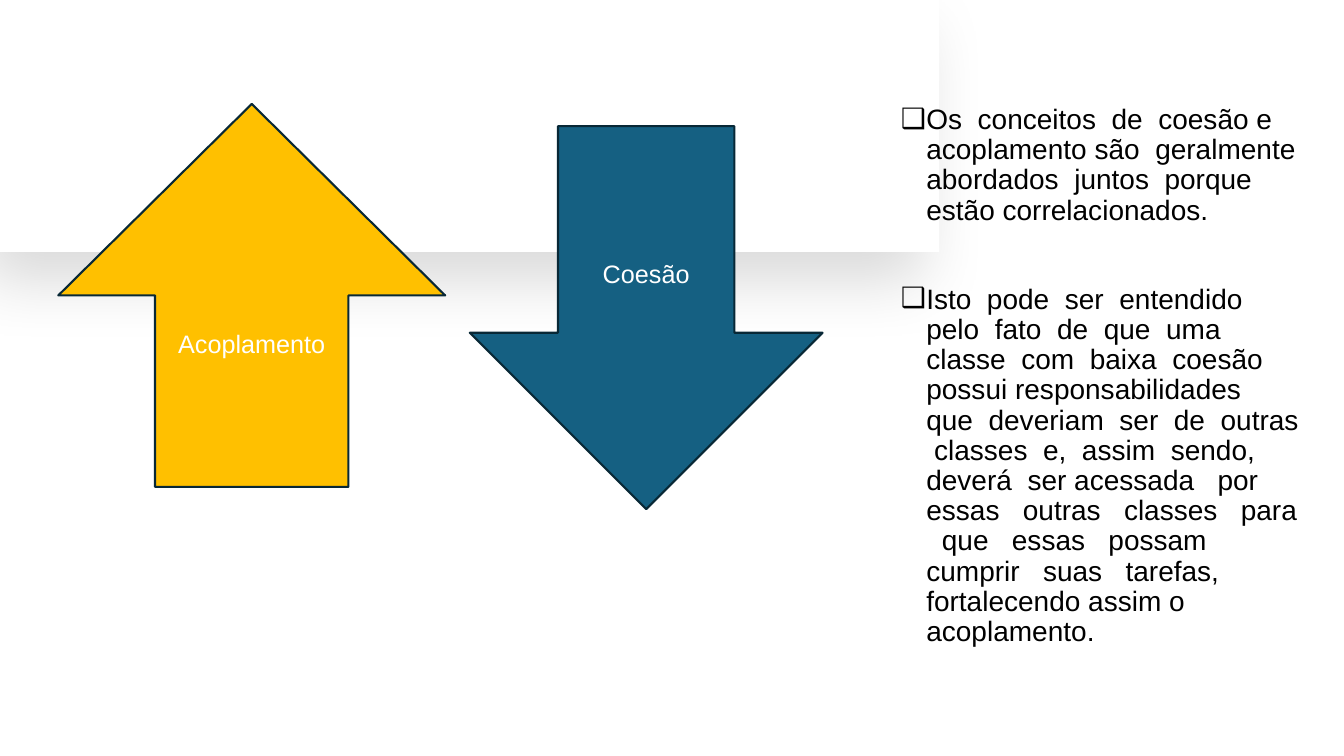
from lxml import etree
from pptx import Presentation
from pptx.dml.color import RGBColor
from pptx.enum.shapes import MSO_SHAPE
from pptx.enum.text import MSO_ANCHOR, MSO_AUTO_SIZE, PP_ALIGN
from pptx.oxml import parse_xml
from pptx.oxml.ns import nsdecls, qn
from pptx.util import Cm, Pt

RECTANGLE, UP_ARROW, DOWN_ARROW = MSO_SHAPE.RECTANGLE, MSO_SHAPE.UP_ARROW, MSO_SHAPE.DOWN_ARROW
MIDDLE = MSO_ANCHOR.MIDDLE
CENTER, LEFT = PP_ALIGN.CENTER, PP_ALIGN.LEFT
NO_AUTOFIT = MSO_AUTO_SIZE.NONE
TITLE_AND_CONTENT = 1
FONT = "Arial"
COLORS = {
    "white": "FFFFFF",
    "black": "000000",
    "amber": "FFC000",
    "blue": "156082",
    "outline": "082836",
}
CONCEPTS = [
    "Os  conceitos  de  coesão e  acoplamento são  geralmente abordados  juntos  porque  "
    "estão correlacionados.",
    "Isto  pode  ser  entendido  pelo  fato  de  que  uma  classe  com  baixa  coesão  "
    "possui responsabilidades  que  deveriam  ser  de  outras  classes  e,  assim  sendo,  "
    "deverá  ser acessada   por   essas   outras   classes   para   que   essas   possam   "
    "cumprir   suas   tarefas, fortalecendo assim o acoplamento.",
]


def color(name):
    return RGBColor.from_string(COLORS[name])


def add_text(paragraph, text, size, color_name):
    run = paragraph.add_run()
    run.text = text
    run.font.name = FONT
    run.font.size = Pt(size)
    run.font.color.rgb = color(color_name)


def add_header_band(slide, left, top, width, height):
    """White band that shows only through the soft shadow under it."""
    band = slide.shapes.add_shape(RECTANGLE, left, top, width, height)
    band.fill.solid()
    band.fill.fore_color.rgb = color("white")
    band.line.fill.background()
    band._element.spPr.append(parse_xml(
        f'<a:effectLst {nsdecls("a")}>'
        f'<a:outerShdw blurRad="{Pt(47)}" dist="{Pt(24)}" dir="{119 * 60000}" '
        'algn="t" rotWithShape="0">'
        f'<a:srgbClr val="{COLORS["black"]}"><a:alpha val="15000"/></a:srgbClr>'
        '</a:outerShdw></a:effectLst>'))


def add_arrow(slide, preset, label, fill, left, top, width, height):
    arrow = slide.shapes.add_shape(preset, left, top, width, height)
    arrow.shadow.inherit = False
    arrow.fill.solid()
    arrow.fill.fore_color.rgb = color(fill)
    arrow.line.color.rgb = color("outline")
    arrow.line.width = Pt(1.5)
    arrow.text_frame.vertical_anchor = MIDDLE
    paragraph = arrow.text_frame.paragraphs[0]
    paragraph.alignment = CENTER
    add_text(paragraph, label, 18, "white")


def add_bullet(paragraph):
    properties = paragraph._p.get_or_add_pPr()
    properties.set("marL", str(Cm(0.64)))
    properties.set("indent", str(-Cm(0.64)))
    bullet_color = etree.SubElement(properties, qn("a:buClr"))
    etree.SubElement(bullet_color, qn("a:srgbClr"), val=COLORS["black"])
    etree.SubElement(properties, qn("a:buFont"), typeface=FONT)
    etree.SubElement(properties, qn("a:buChar"), char="❑")


def fill_concepts(body, left, top, width, height):
    body.left, body.top, body.width, body.height = left, top, width, height
    frame = body.text_frame
    frame.word_wrap = True
    frame.auto_size = NO_AUTOFIT
    frame.vertical_anchor = MIDDLE
    for index, concept in enumerate(CONCEPTS):
        paragraph = frame.add_paragraph() if index else frame.paragraphs[0]
        add_bullet(paragraph)
        paragraph.alignment = LEFT
        paragraph.line_spacing = 0.9
        paragraph.space_before = Pt(42 if index else 0)
        add_text(paragraph, concept, 20, "black")


def build_coupling_slide(presentation):
    slide = presentation.slides.add_slide(presentation.slide_layouts[TITLE_AND_CONTENT])
    title = slide.shapes.title._element
    title.getparent().remove(title)
    body = slide.placeholders[1]
    add_header_band(slide, Cm(0), Cm(0), Cm(23.67), Cm(6.35))
    # The body text stands in front of the band.
    slide.shapes._spTree.append(body._element)
    fill_concepts(body, Cm(22.45), Cm(0.66), Cm(10.62), Cm(17.65))
    add_arrow(slide, UP_ARROW, "Acoplamento", "amber", Cm(1.47), Cm(2.62), Cm(9.75), Cm(9.65))
    add_arrow(slide, DOWN_ARROW, "Coesão", "blue", Cm(11.84), Cm(3.18), Cm(8.89), Cm(9.65))


def main():
    presentation = Presentation()
    presentation.slide_width, presentation.slide_height = Cm(33.87), Cm(19.05)
    build_coupling_slide(presentation)
    presentation.save("out.pptx")


if __name__ == "__main__":
    main()
